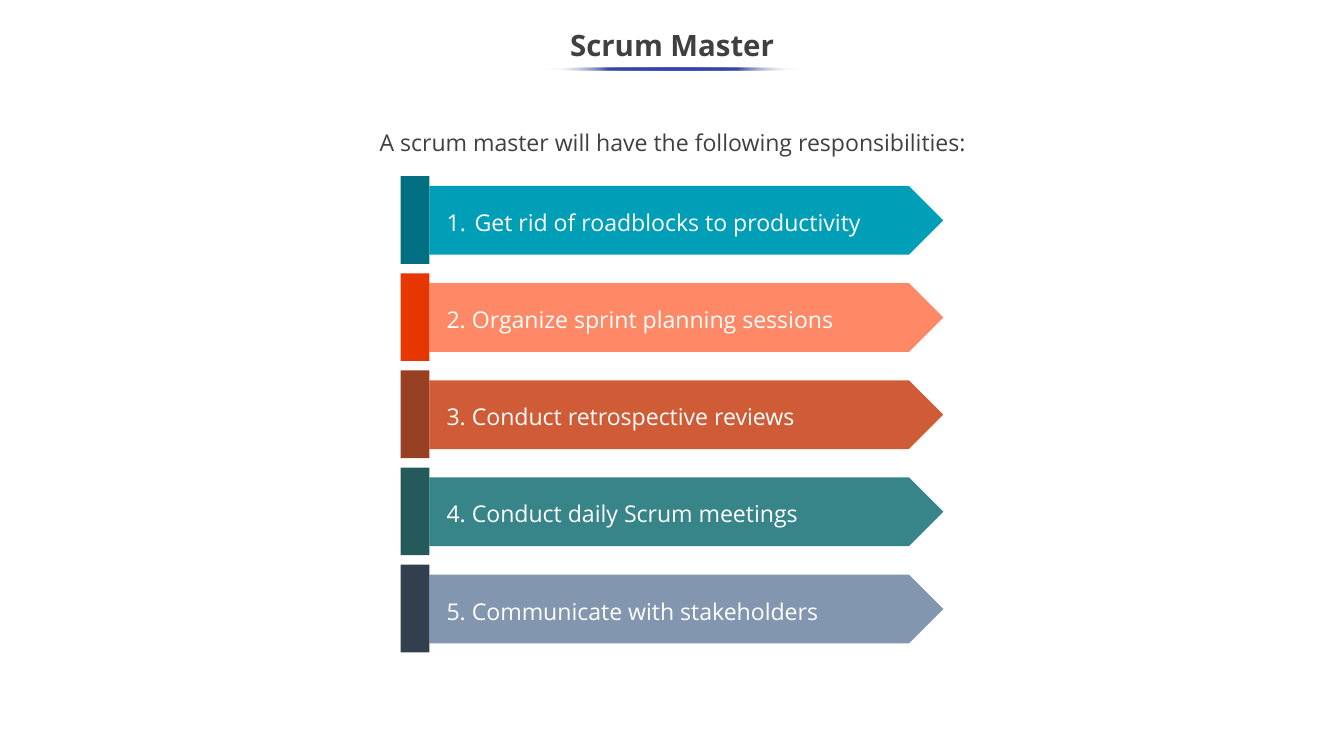
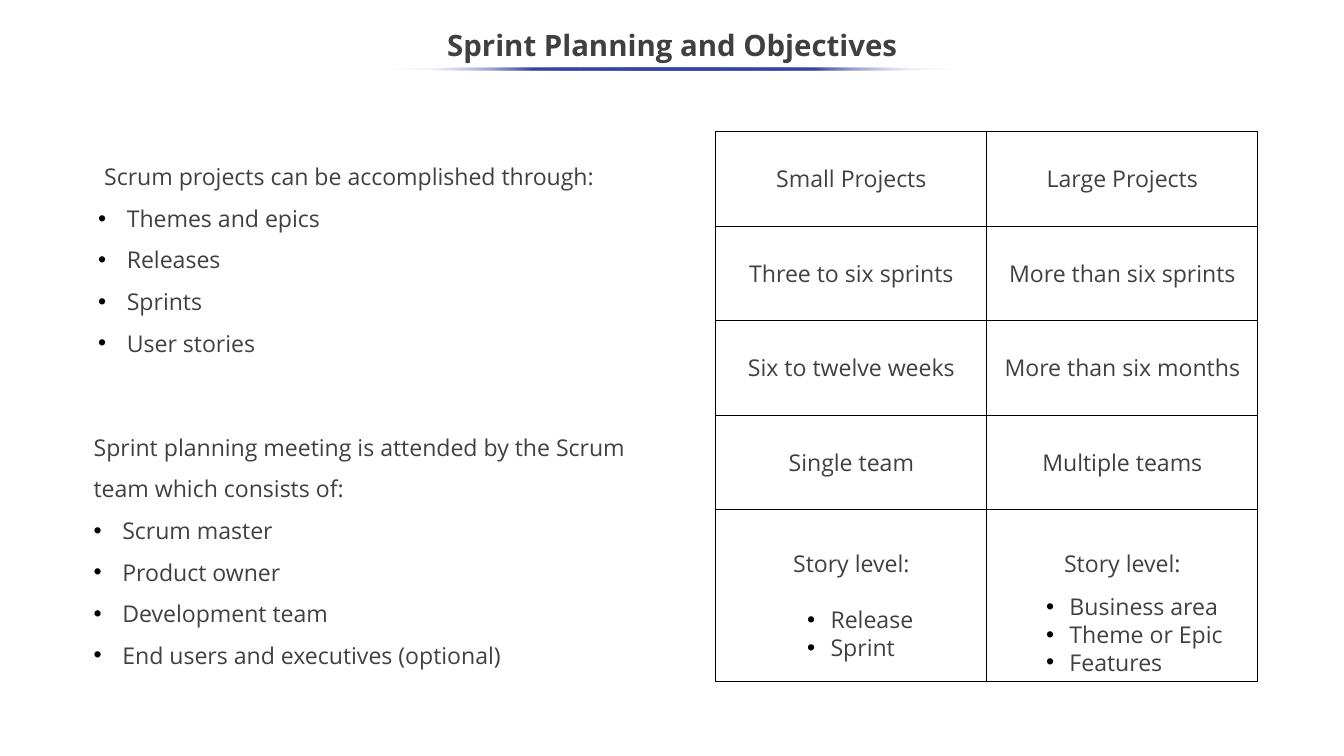
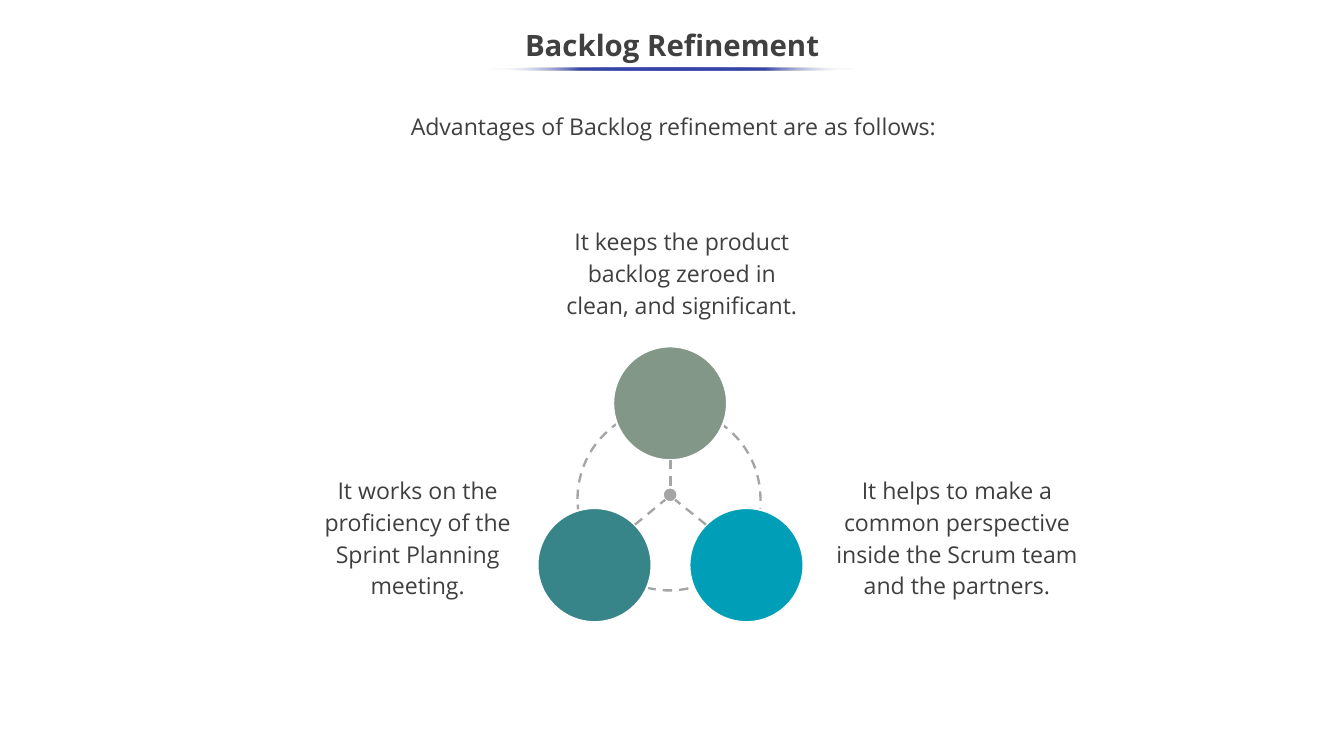
from lxml import etree
from pptx import Presentation
from pptx import util as u
from pptx.dml.color import RGBColor
from pptx.enum import dml, shapes, text
from pptx.oxml import ns

FONT = "Open Sans"
INK, SOFT_INK, WHITE, BLACK = "404040", "3F3F3F", "FFFFFF", "000000"
ACCENT, GREY, TEAL, AQUA, SAGE = "3645A9", "A5A5A5", "378589", "009FB7", "839788"
PAGE_WIDTH, PAGE_HEIGHT = 17.78, 10
BODY_SIZE, TITLE_SIZE = 22, 28
CENTER, LEFT = text.PP_ALIGN.CENTER, text.PP_ALIGN.LEFT
TOP, MIDDLE, BOTTOM = text.MSO_ANCHOR.TOP, text.MSO_ANCHOR.MIDDLE, text.MSO_ANCHOR.BOTTOM
KIND = shapes.MSO_SHAPE

MASTER_INTRO = "A scrum master will have the following responsibilities:"
RESPONSIBILITIES = [
    ("Get rid of roadblocks to productivity", "1.", AQUA, "006F82"),
    ("2. Organize sprint planning sessions", "", "FF8966", "E63700"),
    ("3. Conduct retrospective reviews", "", "CF5C36", "984024"),
    ("4. Conduct daily Scrum meetings", "", TEAL, "255A5D"),
    ("5. Communicate with stakeholders", "", "8296B0", "323F4F"),
]

PLANNING_LISTS = [
    ((1.2, 1.92, 6.93, 2.88), 0.08, "Scrum projects can be accomplished through:",
     ["Themes and epics", "Releases", "Sprints", "User stories"]),
    ((1.14, 5.5, 7.53, 3.43), 0,
     "Sprint planning meeting is attended by the Scrum team which consists of:",
     ["Scrum master", "Product owner", "Development team",
      "End users and executives (optional)"]),
]
PROJECT_SIZES = [
    ("Small Projects", "Large Projects"),
    ("Three to six sprints", "More than six sprints"),
    ("Six to twelve weeks", "More than six months"),
    ("Single team", "Multiple teams"),
    ("Story level:", "Story level:"),
]
PROJECT_ROW_HEIGHTS = [1.25, 1.25, 1.25, 1.25, 2.28]
STORY_LEVELS = [
    ((10.58, 7.96, 1.63, 0.84), ["Release", "Sprint"]),
    ((13.74, 7.79, 2.57, 1.21), ["Business area", "Theme or Epic", "Features"]),
]

REFINEMENT_INTRO = "Advantages of Backlog refinement are as follows:"
ADVANTAGES = [
    ("It helps to make a common perspective inside the Scrum team and the partners.",
     (10.81, 7.62, 3.7, 0.36), (9.12, 6.72), AQUA, 2),
    ("It works on the proficiency of the Sprint Planning meeting.",
     (4.12, 7.62, 2.81, 0.36), (7.11, 6.72), TEAL, 2),
    ("It keeps the product backlog zeroed in clean, and significant.",
     (7.26, 3.91, 3.52, 0.36), (8.11, 4.58), SAGE, 2.25),
]
SPOKES = [(8.87, 6.08, 8.87, 6.45), (8.4, 6.94, 8.8, 6.61), (9.34, 6.94, 8.93, 6.61)]


def color(value):
    return RGBColor.from_string(value)


def inches(box):
    return [u.Inches(length) for length in box]


def add_element(parent, tag, **attributes):
    return etree.SubElement(parent, ns.qn(tag), attributes)


def set_bullet(paragraph, mark, mark_color):
    properties = paragraph._p.get_or_add_pPr()
    add_element(add_element(properties, "a:buClr"), "a:srgbClr", val=mark_color)
    if mark == "1.":
        add_element(properties, "a:buFont", typeface=FONT)
        add_element(properties, "a:buAutoNum", type="arabicPeriod")
    else:
        add_element(properties, "a:buFont", typeface="Arial")
        add_element(properties, "a:buChar", char=mark)


def set_indent(paragraph, left, first=0):
    properties = paragraph._p.get_or_add_pPr()
    properties.set("marL", str(u.Inches(left)))
    properties.set("indent", str(u.Inches(first)))


def style_text(frame, ink=INK, size=BODY_SIZE, bold=False, align=LEFT, spacing=1.0,
               anchor=TOP, inset=0.05):
    frame.word_wrap = True
    frame.vertical_anchor = anchor
    frame.margin_left = frame.margin_right = u.Inches(0.1)
    frame.margin_top = frame.margin_bottom = u.Inches(inset)
    for paragraph in frame.paragraphs:
        paragraph.alignment = align
        paragraph.line_spacing = spacing
        for run in paragraph.runs:
            run.font.name = FONT
            run.font.size = u.Pt(size)
            run.font.bold = bold
            run.font.color.rgb = color(ink)


def add_text(slide, box, words, **style):
    frame = slide.shapes.add_textbox(*inches(box)).text_frame
    frame.text = words
    style_text(frame, **style)
    return frame


def add_bullets(slide, box, items, indent, spacing, heading="", heading_indent=0):
    lines = [heading] * bool(heading) + items
    frame = add_text(slide, box, "\n".join(lines), spacing=spacing)
    bulleted = list(frame.paragraphs)
    if heading:
        set_indent(bulleted.pop(0), heading_indent)
    for paragraph in bulleted:
        set_indent(paragraph, indent, -indent)
        set_bullet(paragraph, "•", BLACK)


def style_line(line, stroke, width, dashed=False):
    line.color.rgb = color(stroke)
    line.width = u.Pt(width)
    if dashed:
        line.dash_style = dml.MSO_LINE.DASH


def add_shape(slide, kind, box, fill=None, stroke=None, width=1, dashed=False):
    shape = slide.shapes.add_shape(kind, *inches(box))
    shape.shadow.inherit = False
    if fill:
        shape.fill.solid()
        shape.fill.fore_color.rgb = color(fill)
    else:
        shape.fill.background()
    if stroke:
        style_line(shape.line, stroke, width, dashed)
    else:
        shape.line.fill.background()
    return shape


def add_underline(slide, width):
    underline = add_shape(slide, KIND.OVAL, (8.9 - width / 2, 0.89, width, 0.04))
    underline.fill.gradient()
    underline.fill.gradient_angle = 180
    stops = underline._element.spPr.find(".//" + ns.qn("a:gsLst"))
    for stop in list(stops):
        stops.remove(stop)
    for percent in range(0, 101, 25):
        faded = percent in (0, 100)
        stop = add_element(stops, "a:gs", pos=str(percent * 1000))
        shade = add_element(stop, "a:srgbClr", val=WHITE if faded else ACCENT)
        if faded:
            add_element(shade, "a:alpha", val="0")


def new_slide(deck, title, underline_width):
    slide = deck.slides.add_slide(deck.slide_layouts[5])
    heading = slide.shapes.title
    heading.left, heading.top, heading.width, heading.height = inches((-0.01, 0.25, 17.8, 0.75))
    heading.text_frame.text = title
    style_text(heading.text_frame, size=TITLE_SIZE, bold=True, align=CENTER,
               spacing=0.9, anchor=MIDDLE)
    add_underline(slide, underline_width)
    return slide


def set_borders(cell):
    properties = cell._tc.get_or_add_tcPr()
    for position, side in enumerate(("a:lnL", "a:lnR", "a:lnT", "a:lnB")):
        border = add_element(properties, side, w=str(u.Pt(1)))
        add_element(add_element(border, "a:solidFill"), "a:srgbClr", val=BLACK)
        properties.insert(position, border)


def add_project_table(slide):
    box = (9.47, 1.74, 7.17, sum(PROJECT_ROW_HEIGHTS))
    table = slide.shapes.add_table(len(PROJECT_SIZES), 2, *inches(box)).table
    table.first_row = table.horz_banding = False
    for row, height, labels in zip(table.rows, PROJECT_ROW_HEIGHTS, PROJECT_SIZES):
        row.height = u.Inches(height)
        for cell, label in zip(row.cells, labels):
            cell.text_frame.text = label
            style_text(cell.text_frame, align=CENTER)
            cell.vertical_anchor = MIDDLE
            cell.fill.background()
            set_borders(cell)
    for cell in table.rows[len(PROJECT_SIZES) - 1].cells:
        cell.margin_bottom = u.Inches(0.89)


def build_scrum_master(deck):
    slide = new_slide(deck, "Scrum Master", 3.37)
    add_text(slide, (1.41, 1.65, 14.98, 0.99), MASTER_INTRO,
             align=CENTER, spacing=1.15, inset=0)
    for row, (duty, number, fill, edge) in enumerate(RESPONSIBILITIES):
        top = 2.33 + row * 1.285
        arrow = add_shape(slide, KIND.PENTAGON, (5.68, top + 0.13, 6.8, 0.91), fill)
        arrow.text_frame.text = duty
        style_text(arrow.text_frame, ink=WHITE, spacing=1.14, anchor=MIDDLE)
        paragraph = arrow.text_frame.paragraphs[0]
        set_indent(paragraph, 0.5, -0.37)
        if number:
            set_bullet(paragraph, number, WHITE)
        add_shape(slide, KIND.RECTANGLE, (5.3, top, 0.38, 1.16), edge)


def build_sprint_planning(deck):
    slide = new_slide(deck, "Sprint Planning and Objectives", 7.44)
    for box, heading_indent, heading, items in PLANNING_LISTS:
        add_bullets(slide, box, items, 0.38, 1.5, heading, heading_indent)
    add_project_table(slide)
    for box, levels in STORY_LEVELS:
        add_bullets(slide, box, levels, 0.31, 1.0)


def build_backlog_refinement(deck):
    slide = new_slide(deck, "Backlog Refinement", 4.87)
    intro = add_shape(slide, KIND.ROUNDED_RECTANGLE, (1.41, 1.34, 15, 1.07))
    intro.adjustments[0] = 0.12
    intro.text_frame.text = REFINEMENT_INTRO
    style_text(intro.text_frame, ink=SOFT_INK, align=CENTER, spacing=1.15)
    add_shape(slide, KIND.OVAL, (7.64, 5.39, 2.42, 2.42), None, GREY, 2.25, dashed=True)
    add_shape(slide, KIND.OVAL, (8.77, 6.45, 0.19, 0.19), GREY, WHITE, 1.5)
    for advantage, box, corner, fill, width in ADVANTAGES:
        add_shape(slide, KIND.OVAL, (*corner, 1.51, 1.51), fill, WHITE, width)
        add_text(slide, box, advantage, ink=SOFT_INK, align=CENTER, spacing=1.15,
                 anchor=BOTTOM)
    for ends in SPOKES:
        spoke = slide.shapes.add_connector(shapes.MSO_CONNECTOR.STRAIGHT, *inches(ends))
        style_line(spoke.line, GREY, 2.25, dashed=True)
        add_element(spoke._element.spPr, "a:effectLst")


def main():
    deck = Presentation()
    deck.slide_width, deck.slide_height = inches((PAGE_WIDTH, PAGE_HEIGHT))
    build_scrum_master(deck)
    build_sprint_planning(deck)
    build_backlog_refinement(deck)
    deck.save("out.pptx")


if __name__ == "__main__":
    main()
